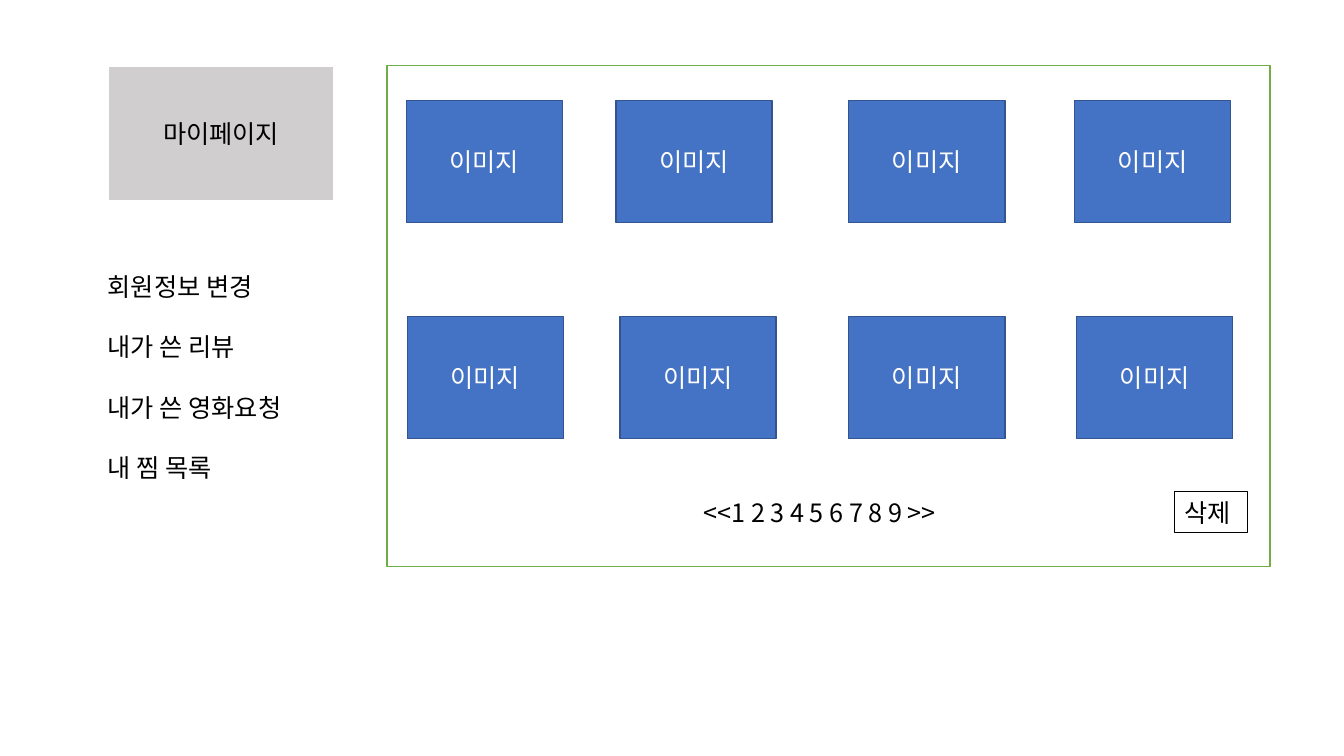
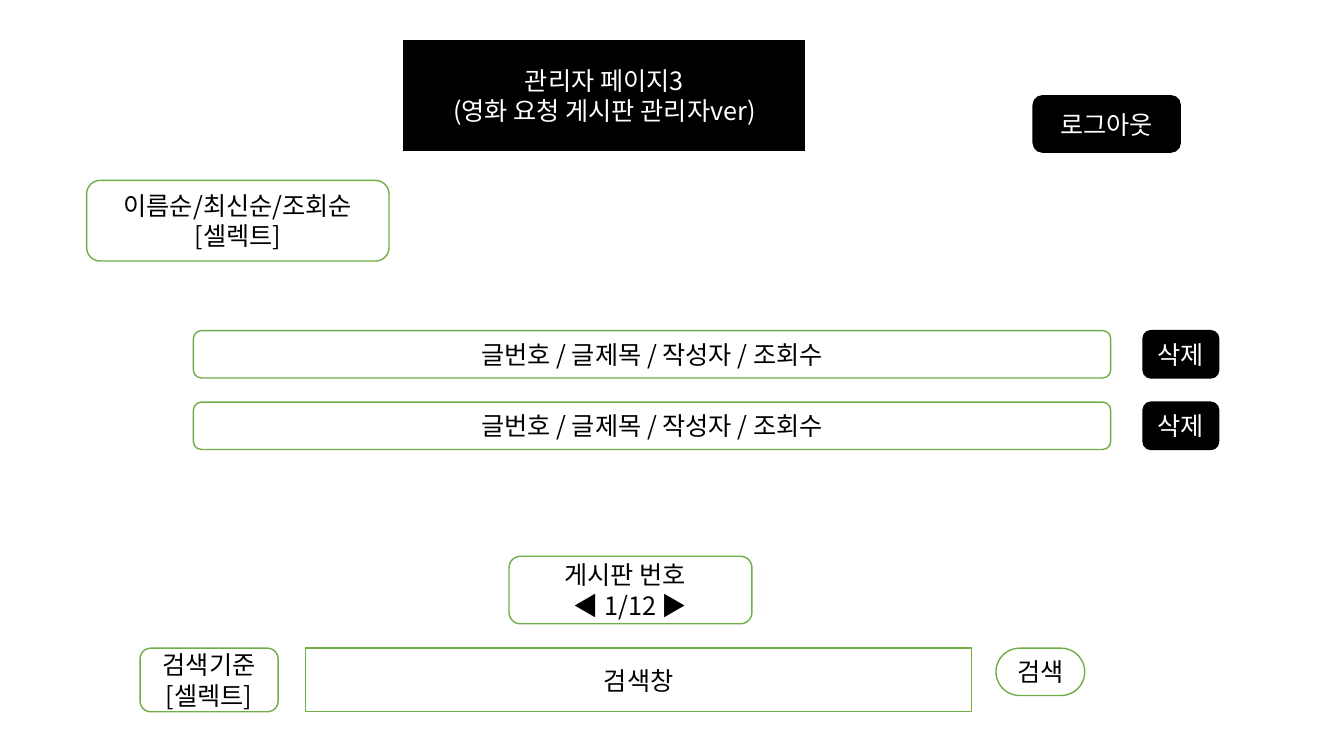
from lxml import etree
from pptx import Presentation
from pptx.dml.color import RGBColor
from pptx.enum import shapes, text
from pptx.oxml import ns
from pptx.util import Pt

# Shared look
FONT = "Noto Sans CJK KR"
SIZE, LINE_HEIGHT = 18, 21.6
BLACK = RGBColor(0x00, 0x00, 0x00)
WHITE = RGBColor(0xFF, 0xFF, 0xFF)
GREY = RGBColor(0xD0, 0xCE, 0xCE)
GREEN = RGBColor(0x70, 0xAD, 0x47)
BLUE = RGBColor(0x44, 0x72, 0xC4)
NAVY = RGBColor(0x32, 0x54, 0x91)

# Each style: fill, outline, outline width, text colour
STYLES = {
    "grey title": (GREY, WHITE, 1.5, BLACK),
    "black title": (BLACK, WHITE, 1.5, WHITE),
    "field": (WHITE, GREEN, 1, BLACK),
    "button": (BLACK, BLACK, 1, WHITE),
    "image": (BLUE, NAVY, 1, WHITE),
    "outline": (None, BLACK, 0.75, BLACK),
}
RECT = shapes.MSO_SHAPE.RECTANGLE
ROUND = shapes.MSO_SHAPE.ROUNDED_RECTANGLE
CENTER, LEFT = text.PP_ALIGN.CENTER, text.PP_ALIGN.LEFT
MIDDLE, TOP = text.MSO_ANCHOR.MIDDLE, text.MSO_ANCHOR.TOP

# My page: places are left, top, width, height
MY_TITLE = ("마이페이지", (77, 46.8, 162, 96.5))
MENU = ["회원정보 변경", "내가 쓴 리뷰", "내가 쓴 영화요청", "내 찜 목록"]
MENU_PLACE = (69.8, 190, 176.4, 160)
PANEL_PLACE = (276.5, 46.8, 630.7, 357.8)
IMAGE_LABEL, IMAGE_SIZE = "이미지", (111.6, 87.1)
IMAGE_ROWS = [
    (72, (290.2, 439.9, 606.2, 767.5)),
    (226.1, (290.9, 442.8, 606.2, 769)),
]
PAGER = ("<<1 2 3 4 5 6 7 8 9 >>", (495.4, 351.4, 259.2, 28.8))
DELETE = "삭제"
DELETE_PLACE = (838.8, 351.4, 52.6, 28.8)

# Admin page
ADMIN_TITLE = ("관리자 페이지3\v(영화 요청 게시판 관리자ver)",
               (287.3, 28.1, 288.7, 80.6))
CONTROLS = [
    ("이름순/최신순/조회순[셀렉트]", (61.9, 128.9, 216, 57.6), "field", ROUND),
    ("게시판 번호  \v◀ 1/12 ▶", (363.6, 397.4, 173.5, 48.2), "field", ROUND),
    ("검색기준 [셀렉트]", (100.1, 463, 98.6, 45.4), "field", ROUND),
    ("검색창", (218.2, 463, 475.9, 45.4), "field", RECT),
    ("로그아웃", (738, 68.4, 105.1, 40.3), "button", ROUND),
]
SEARCH = ("검색", (711.4, 463, 63.4, 33.8))
POST = "글번호 / 글제목 / 작성자 / 조회수"
POST_TOP, POST_STEP, POST_COUNT, POST_HEIGHT = 236.2, 51.1, 2, 33.8


def write(box, lines, color, align=CENTER, anchor=MIDDLE, gap=0):
    """Fill a shape with paragraphs in the shared text style."""
    frame = box.text_frame
    frame.word_wrap = True
    frame.auto_size = text.MSO_AUTO_SIZE.NONE
    frame.vertical_anchor = anchor
    formats = {"alignment": align, "line_spacing": Pt(LINE_HEIGHT),
               "space_before": Pt(0), "space_after": Pt(gap)}
    for index, line in enumerate(lines):
        para = frame.add_paragraph() if index else frame.paragraphs[0]
        para.text = line
        for name, value in formats.items():
            setattr(para, name, value)
        for span in para.runs:
            span.font.name, span.font.size = FONT, Pt(SIZE)
            span.font.color.rgb = color
            asian = etree.SubElement(span.font._element, ns.qn("a:ea"))
            asian.set("typeface", FONT)


def place(box, spot):
    for name, value in zip(("left", "top", "width", "height"), spot):
        setattr(box, name, Pt(value))


def paint(box, style):
    """Apply a style's fill and outline; return its text colour."""
    fill, outline, width, color = STYLES[style]
    if fill is None:
        box.fill.background()
    else:
        box.fill.solid()
        box.fill.fore_color.rgb = fill
    box.line.color.rgb = outline
    box.line.width = Pt(width)
    return color


def add_box(page, label, spot, style, kind=RECT, **layout):
    box = page.shapes.add_shape(kind, *map(Pt, spot))
    box.shadow.inherit = False
    color = paint(box, style)
    if label:
        write(box, [label], color, **layout)
    return box


def set_title(page, label, spot, style):
    """Turn the title placeholder into a rounded band."""
    title = page.shapes.title
    place(title, spot)
    outline = etree.Element(ns.qn("a:prstGeom"), prst="roundRect")
    etree.SubElement(outline, ns.qn("a:avLst"))
    title._element.spPr.insert(1, outline)
    write(title, [label], paint(title, style))


def set_menu(page, lines, spot):
    """Show the body placeholder as a list without bullets."""
    body = page.placeholders[1]
    place(body, spot)
    write(body, lines, BLACK, LEFT, TOP, gap=LINE_HEIGHT)
    for para in body.text_frame.paragraphs:
        props = para._p.get_or_add_pPr()
        props.set("marL", "0")
        props.set("indent", "0")
        etree.SubElement(props, ns.qn("a:buNone"))


def build_my_page(deck):
    page = deck.slides.add_slide(deck.slide_layouts[1])
    set_title(page, *MY_TITLE, "grey title")
    set_menu(page, MENU, MENU_PLACE)
    add_box(page, "", PANEL_PLACE, "field")
    for top, lefts in IMAGE_ROWS:
        for left in lefts:
            add_box(page, IMAGE_LABEL, (left, top, *IMAGE_SIZE), "image")
    label, spot = PAGER
    write(page.shapes.add_textbox(*map(Pt, spot)), [label], BLACK, LEFT, TOP)
    add_box(page, DELETE, DELETE_PLACE, "outline", align=LEFT, anchor=TOP)


def build_admin_page(deck):
    page = deck.slides.add_slide(deck.slide_layouts[5])
    set_title(page, *ADMIN_TITLE, "black title")
    for control in CONTROLS:
        add_box(page, *control)
    add_box(page, *SEARCH, "field", ROUND).adjustments[0] = 0.5
    # Posts, each with its delete button
    for index in range(POST_COUNT):
        top = POST_TOP + index * POST_STEP
        add_box(page, POST, (138.2, top, 655.2, POST_HEIGHT), "field", ROUND)
        add_box(page, DELETE, (816.5, top, 54, POST_HEIGHT), "button", ROUND)


def main():
    deck = Presentation()
    deck.slide_width, deck.slide_height = Pt(960), Pt(540)
    build_my_page(deck)
    build_admin_page(deck)
    deck.save("out.pptx")


if __name__ == "__main__":
    main()
